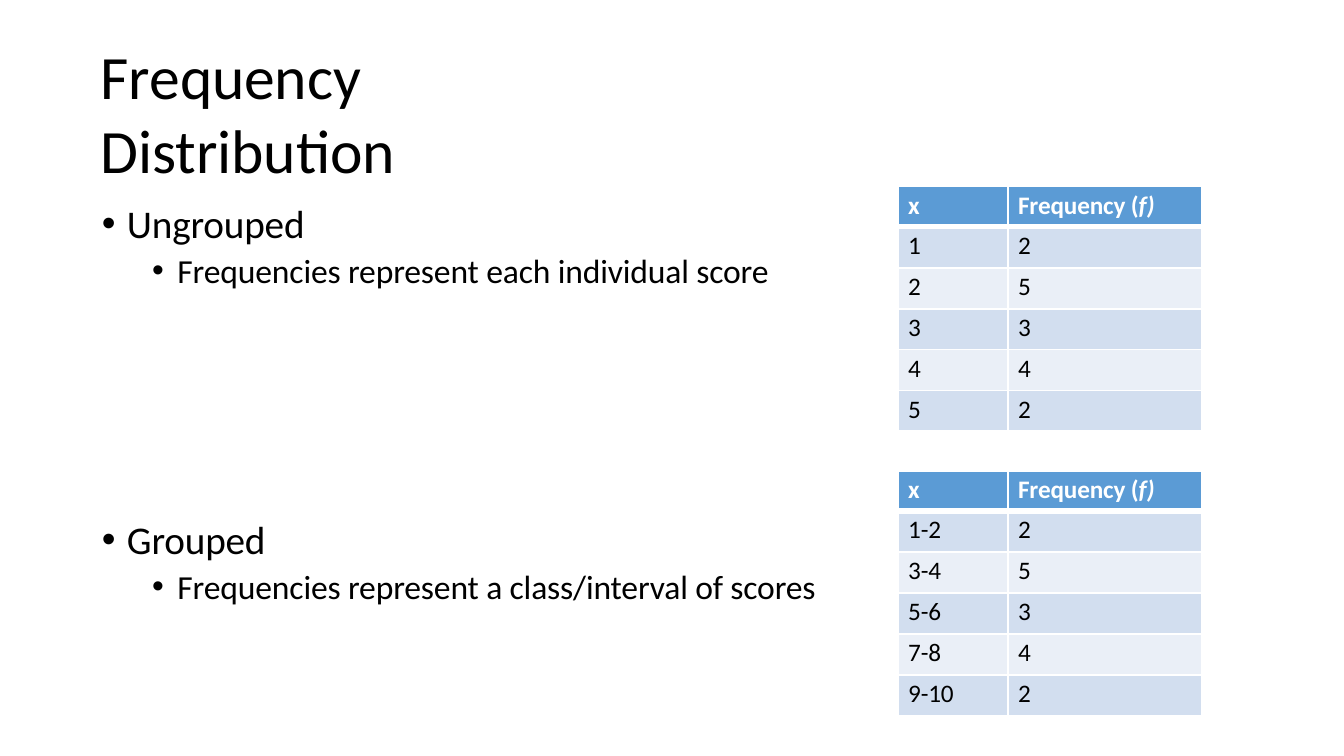
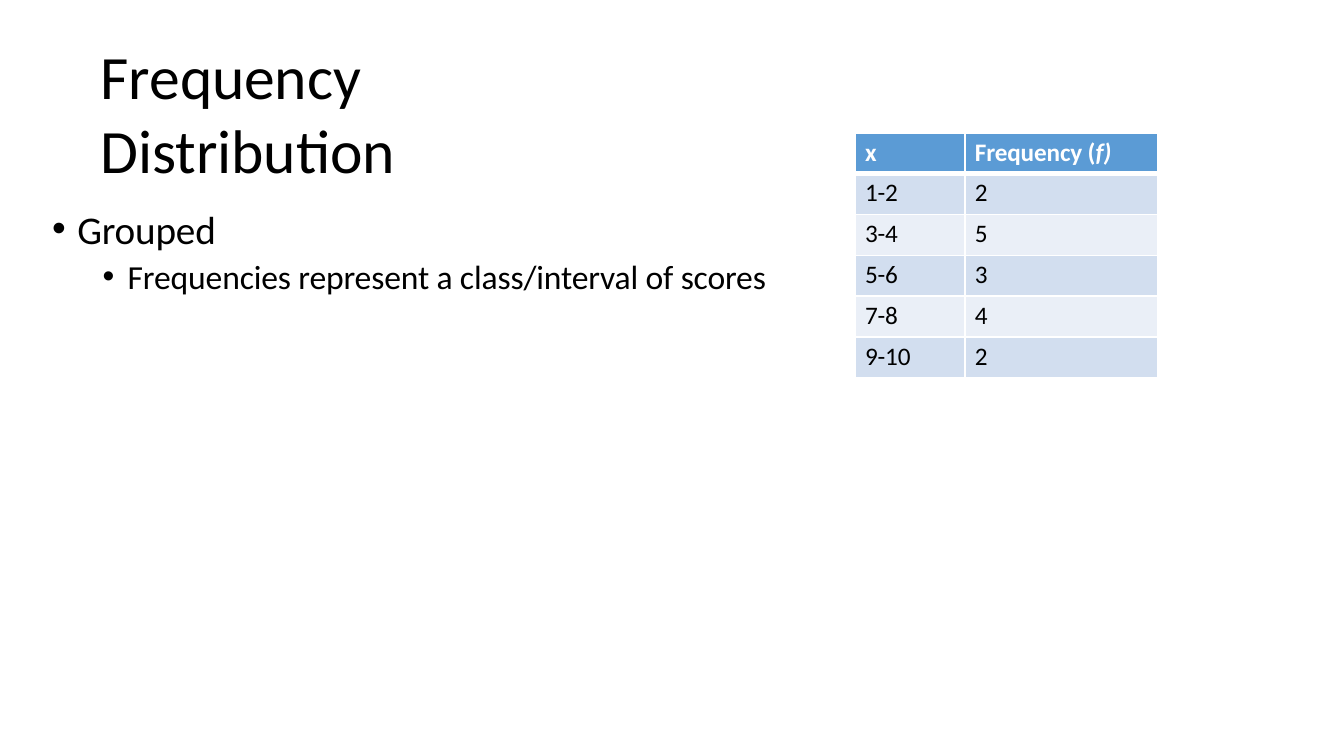
import pptx
import pptx.dml.color
import pptx.enum.text
import pptx.oxml
import pptx.oxml.ns
import pptx.util

Pt = pptx.util.Pt
RGBColor = pptx.dml.color.RGBColor
MSO_ANCHOR = pptx.enum.text.MSO_ANCHOR

BLACK = RGBColor(0x00, 0x00, 0x00)
WHITE = RGBColor(0xFF, 0xFF, 0xFF)
HEADER_BLUE = RGBColor(0x5B, 0x9B, 0xD5)
BANDS = [RGBColor(0xD2, 0xDE, 0xEF), RGBColor(0xEA, 0xEF, 0xF7)]

FONT = "Calibri"
TIGHT = -10
TITLE = "Frequency Distribution"
TITLE_BOX = (72, 26, 400, 108)
TITLE_FORMAT = {"size": Pt(44)}

UNGROUPED = ("Ungrouped", "Frequencies represent each individual score")
GROUPED = ("Grouped", "Frequencies represent a class/interval of scores")
LEVELS = [
    {"size": 28, "left": 18.7, "before": 0},
    {"size": 24, "left": 54.7, "before": 2.5},
]
HANGING = 18
TOPIC_SIZE = (517, 70)

HEADER = [[("x", {})], [("Frequency (", {}), ("f)", {"italic": True})]]
FREQUENCIES = ["2", "5", "3", "4", "2"]
SCORES = ["1", "2", "3", "4", "5"]
INTERVALS = ["1-2", "3-4", "5-6", "7-8", "9-10"]
COLUMN_WIDTHS = [78.5, 138.2]
HEADER_HEIGHT = 28.8
ROW_HEIGHT = 29.25
THIN, THICK = 1.5, 4.25

SLIDES = [
    {
        "topics": [(UNGROUPED, 72, 139), (GROUPED, 72, 364.5)],
        "tables": [(SCORES, 641.5, 133.2), (INTERVALS, 641.5, 336.2)],
    },
    {
        "topics": [(GROUPED, 36.5, 142.8)],
        "tables": [(INTERVALS, 610.7, 95.2)],
    },
]


def set_attributes(target, values):
    for name, value in values.items():
        setattr(target, name, value)


def add_run(paragraph, text, formats, color=BLACK):
    run = paragraph.add_run()
    run.text = text
    set_attributes(run.font, {"name": FONT, **formats})
    run.font.color.rgb = color
    run.font._element.set("spc", str(TIGHT))


def add_frame(slide, box, margin_top, anchor=MSO_ANCHOR.TOP):
    frame = slide.shapes.add_textbox(*map(Pt, box)).text_frame
    set_attributes(frame, {
        "word_wrap": True, "vertical_anchor": anchor,
        "margin_left": 0, "margin_right": 0,
        "margin_top": Pt(margin_top), "margin_bottom": 0,
    })
    return frame


def add_title(slide):
    frame = add_frame(slide, TITLE_BOX, 0, MSO_ANCHOR.MIDDLE)
    add_run(frame.paragraphs[0], TITLE, TITLE_FORMAT)


def add_bullet(paragraph, left):
    properties = paragraph._p.get_or_add_pPr()
    properties.set("marL", str(Pt(left)))
    properties.set("indent", str(-Pt(HANGING)))
    for tag, name, value in [("buFont", "typeface", "Arial"), ("buChar", "char", "•")]:
        element = pptx.oxml.parse_xml(f'<a:{tag} {pptx.oxml.ns.nsdecls("a")}/>')
        element.set(name, value)
        properties.append(element)


def add_topic(slide, lines, left, top):
    frame = add_frame(slide, (left, top, *TOPIC_SIZE), 3.6)
    for number, (line, level) in enumerate(zip(lines, LEVELS)):
        paragraph = frame.add_paragraph() if number else frame.paragraphs[0]
        add_bullet(paragraph, level["left"])
        if level["before"]:
            paragraph.space_before = Pt(level["before"])
        paragraph.level = number
        add_run(paragraph, line, {"size": Pt(level["size"])})


def add_borders(cell, top, bottom):
    properties = cell._tc.get_or_add_tcPr()
    for side, width in {"L": THIN, "R": THIN, "T": top, "B": bottom}.items():
        properties.append(pptx.oxml.parse_xml(
            f'<a:ln{side} {pptx.oxml.ns.nsdecls("a")} w="{Pt(width)}">'
            f'<a:solidFill><a:srgbClr val="{WHITE}"/></a:solidFill></a:ln{side}>'))


def add_frequency_table(slide, classes, left, top):
    body = [[[(text, {})] for text in pair] for pair in zip(classes, FREQUENCIES)]
    rows = [HEADER, *body]
    heights = [HEADER_HEIGHT] + [ROW_HEIGHT] * len(body)
    table = slide.shapes.add_table(
        len(rows), len(COLUMN_WIDTHS), Pt(left), Pt(top),
        Pt(sum(COLUMN_WIDTHS)), Pt(sum(heights))).table
    set_attributes(table, {"first_row": False, "horz_banding": False})
    for column, width in zip(table.columns, COLUMN_WIDTHS):
        column.width = Pt(width)
    for number, (row, height) in enumerate(zip(rows, heights)):
        is_header = number == 0
        table.rows[number].height = Pt(height)
        for cell, runs in zip(table.rows[number].cells, row):
            set_attributes(cell, {
                "margin_left": Pt(7.2), "margin_right": 0,
                "margin_top": Pt(2.7), "margin_bottom": 0,
            })
            add_borders(cell, THICK if number == 1 else THIN,
                        THICK if is_header else THIN)
            cell.fill.solid()
            cell.fill.fore_color.rgb = HEADER_BLUE if is_header else BANDS[(number - 1) % 2]
            for text, formats in runs:
                add_run(cell.text_frame.paragraphs[0], text,
                        {"size": Pt(18), "bold": is_header, **formats},
                        WHITE if is_header else BLACK)


def main():
    deck = pptx.Presentation()
    set_attributes(deck, {"slide_width": Pt(960), "slide_height": Pt(540)})
    for content in SLIDES:
        slide = deck.slides.add_slide(deck.slide_layouts[6])
        add_title(slide)
        for topic in content["topics"]:
            add_topic(slide, *topic)
        for table in content["tables"]:
            add_frequency_table(slide, *table)
    deck.save("out.pptx")


if __name__ == "__main__":
    main()
